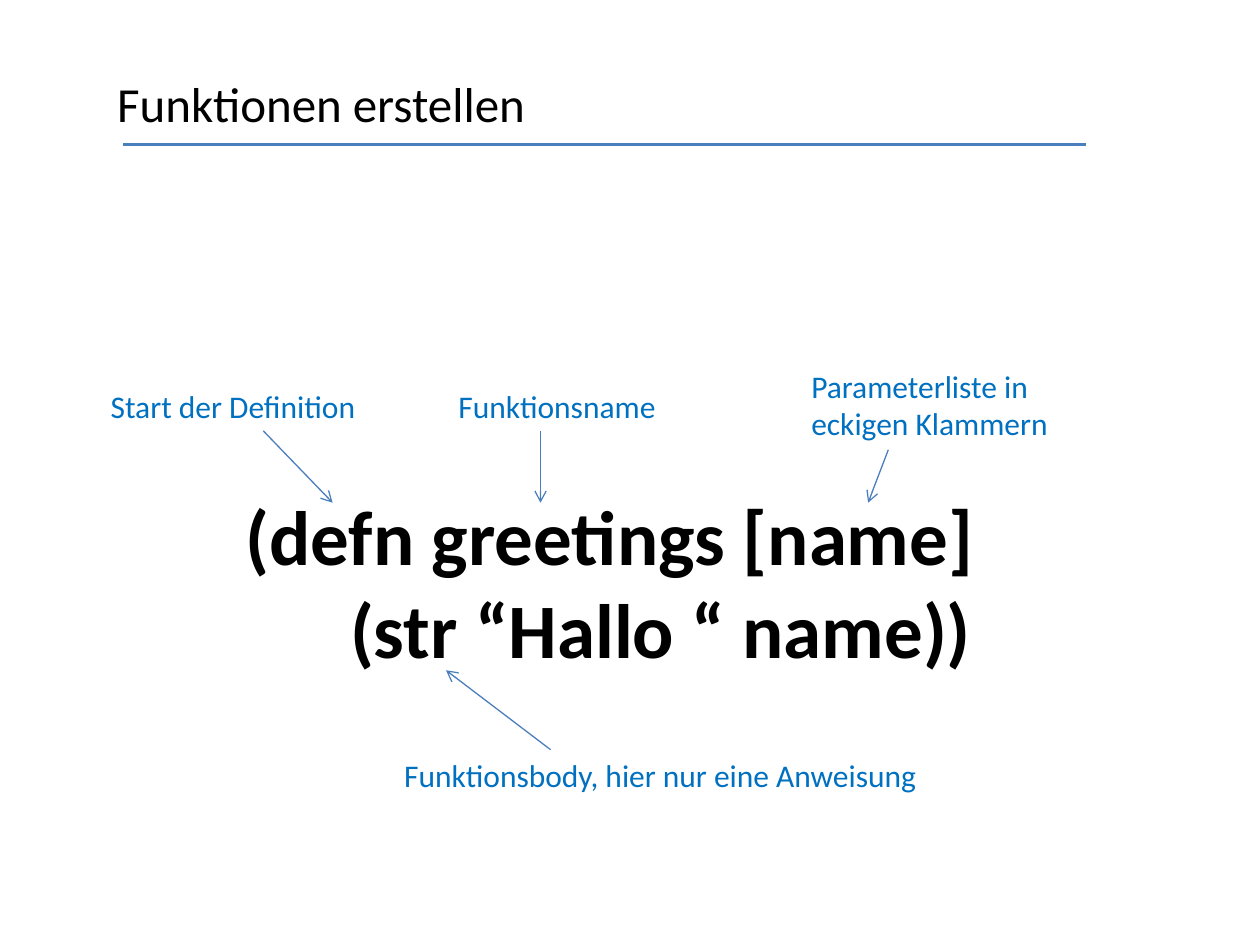
"""Build the slide that explains the parts of a function definition."""
from dataclasses import dataclass
from typing import Optional

from lxml.etree import SubElement
from pptx import Presentation
from pptx.dml.color import RGBColor
from pptx.enum.shapes import MSO_CONNECTOR as Connector
from pptx.enum.text import MSO_ANCHOR as Anchor, MSO_AUTO_SIZE as AutoSize, PP_ALIGN as Align
from pptx.oxml.ns import qn
from pptx.util import Inches, Pt


@dataclass(frozen=True)
class Theme:
    font: str = "Calibri"
    ink: RGBColor = RGBColor(0x00, 0x00, 0x00)
    note: RGBColor = RGBColor(0x00, 0x70, 0xC0)
    line: RGBColor = RGBColor(0x4B, 0x7E, 0xBC)
    title_size: int = 28
    code_size: int = 44
    note_size: int = 18
    rule_width: float = 1.75
    arrow_width: float = 0.75


@dataclass(frozen=True)
class Box:
    left: float
    top: float
    width: float
    height: float


@dataclass(frozen=True)
class Line:
    x1: float
    y1: float
    x2: float
    y2: float


@dataclass(frozen=True)
class Annotation:
    text: str
    box: Box
    arrow: Line


THEME = Theme()
NOTE_TOP, CODE_TOP = 3.02, 3.99
ANNOTATIONS = [
    Annotation("Start der Definition", Box(0.78, NOTE_TOP, 2.36, 0.4), Line(2.09, 3.42, 2.64, CODE_TOP)),
    Annotation("Funktionsname", Box(3.54, NOTE_TOP, 2.2, 0.4), Line(4.29, 3.42, 4.29, CODE_TOP)),
    Annotation("Parameterliste in eckigen Klammern", Box(6.34, 2.86, 2.52, 0.71),
               Line(7.05, 3.57, 6.89, CODE_TOP)),
    Annotation("Funktionsbody, hier nur eine Anweisung", Box(3.11, 5.95, 4.41, 0.4),
               Line(4.37, 5.95, 3.54, 5.32)),
]


def write(shape, text: str, box: Box, size: int, color: RGBColor, bold: bool = False) -> None:
    """Place a text shape, fill it and format its runs."""
    shape.left, shape.top = Inches(box.left), Inches(box.top)
    shape.width, shape.height = Inches(box.width), Inches(box.height)
    frame = shape.text_frame
    frame.text = text
    frame.word_wrap = True
    frame.auto_size = AutoSize.NONE
    frame.vertical_anchor = Anchor.TOP
    for paragraph in frame.paragraphs:
        paragraph.alignment = Align.LEFT
        for run in paragraph.runs:
            run.font.name = THEME.font
            run.font.size = Pt(size)
            run.font.bold = bold
            run.font.color.rgb = color


def add_text(slide, text: str, box: Box, size: int, color: RGBColor, bold: bool = False):
    """Add a formatted text box and return it."""
    shape = slide.shapes.add_textbox(0, 0, 0, 0)
    write(shape, text, box, size, color, bold)
    return shape


def add_line(slide, line: Line, width: float, head: Optional[str] = None) -> None:
    """Draw a straight line, with an arrowhead at its end if one is named."""
    connector = slide.shapes.add_connector(
        Connector.STRAIGHT, Inches(line.x1), Inches(line.y1), Inches(line.x2), Inches(line.y2))
    connector.line.color.rgb = THEME.line
    connector.line.width = Pt(width)
    properties = connector._element.spPr
    if head:
        SubElement(properties.find(qn("a:ln")), qn("a:tailEnd"), type=head)
    SubElement(properties, qn("a:effectLst"))


def main() -> None:
    """Build and save the presentation."""
    deck = Presentation()
    deck.slide_width, deck.slide_height = Inches(10), Inches(7.5)
    slide = deck.slides.add_slide(deck.slide_layouts[5])
    write(slide.shapes.title, "Funktionen erstellen", Box(0.83, 0.53, 7.64, 0.57),
          THEME.title_size, THEME.ink)
    add_line(slide, Line(0.98, 1.15, 8.62, 1.15), THEME.rule_width)

    code = add_text(slide, "(defn greetings [name]\n(str “Hallo “ name))", Box(1.85, 3.83, 6.46, 1.58),
                    THEME.code_size, THEME.ink, bold=True)
    body = code.text_frame.paragraphs[1]
    body._p.get_or_add_pPr().set("marL", str(Inches(0.83)))

    for annotation in ANNOTATIONS:
        add_text(slide, annotation.text, annotation.box, THEME.note_size, THEME.note)
    for annotation in ANNOTATIONS:
        add_line(slide, annotation.arrow, THEME.arrow_width, head="arrow")
    deck.save("out.pptx")


main()
